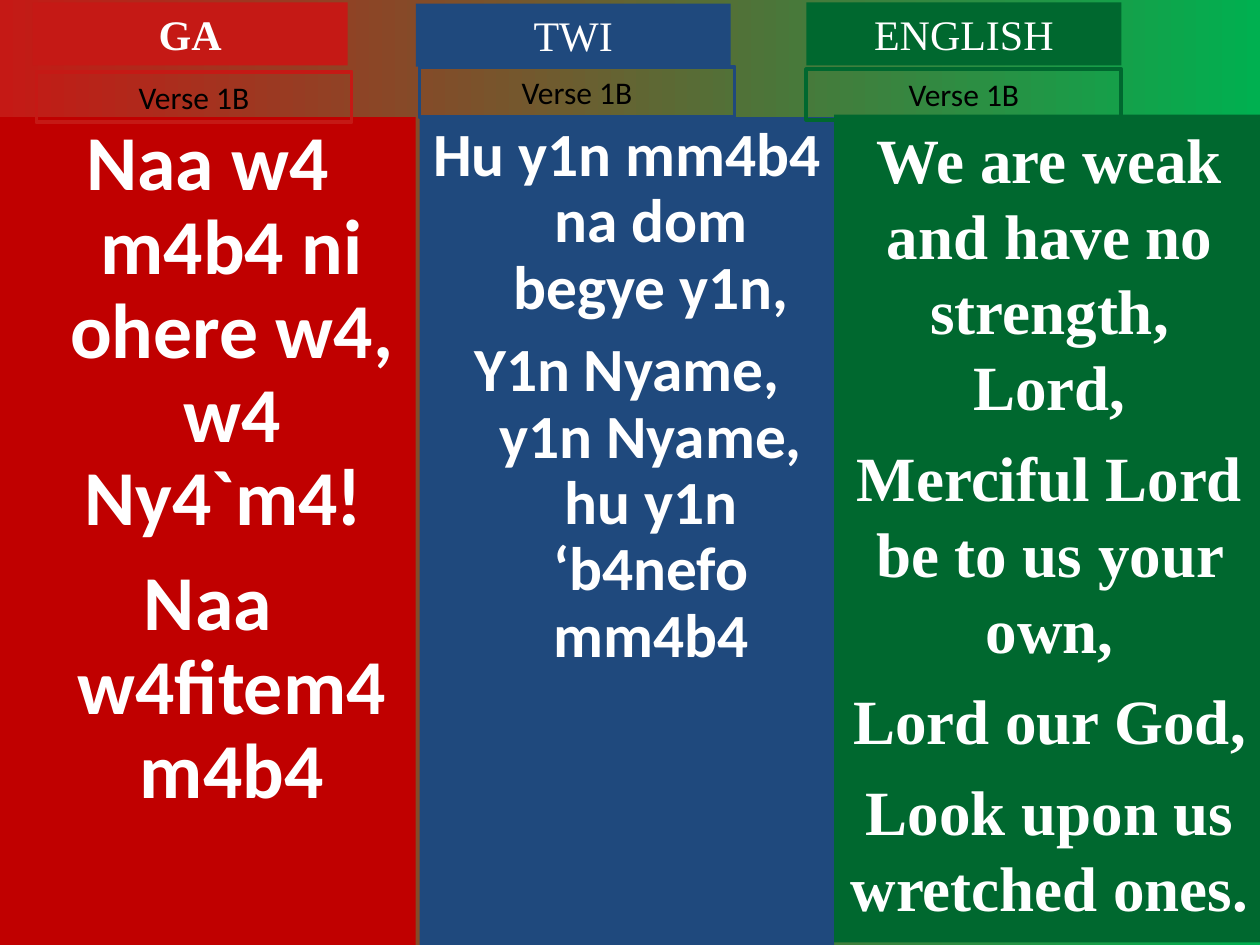
from dataclasses import dataclass
from typing import Optional

from pptx import Presentation
from pptx.dml.color import RGBColor
from pptx.enum.shapes import MSO_SHAPE
from pptx.enum.text import MSO_ANCHOR, MSO_AUTO_SIZE, PP_ALIGN
from pptx.util import Inches, Pt

RECT = MSO_SHAPE.RECTANGLE
TOP = MSO_ANCHOR.TOP
GROW = MSO_AUTO_SIZE.SHAPE_TO_FIT_TEXT
CENTER = PP_ALIGN.CENTER


@dataclass(frozen=True)
class Theme:
    red: str = "C51915"
    deep_red: str = "C00000"
    blue: str = "1F497D"
    green: str = "00682F"
    bright_green: str = "00B050"
    white: str = "FFFFFF"
    black: str = "000000"
    sans: str = "Calibri"
    serif: str = "Times New Roman"
    accent: str = "Lato"
    header_size: float = 24
    verse_size: float = 18
    ga_size: float = 44.4
    twi_size: float = 35.1
    english_size: float = 36


THEME = Theme()


@dataclass(frozen=True)
class Box:
    left: float
    top: float
    width: float
    height: float


@dataclass(frozen=True)
class Style:
    font: str
    size: float
    color: str = THEME.white
    bold: bool = False
    spacing: Optional[float] = None
    before: float = 0
    hanging: float = 0


@dataclass(frozen=True)
class Column:
    title: str
    title_box: Box
    title_bold: bool
    color: str
    verse_box: Box
    body_box: Box
    body_color: str
    body_style: Style
    lines: tuple[tuple[str, ...], ...]


COLUMNS = (
    Column("GA", Box(0.26, 0.02, 2.5, 0.5), True, THEME.red,
           Box(0.29, 0.57, 2.5, 0.4),
           Box(0, 0.93, 3.3, 6.57), THEME.deep_red,
           Style(THEME.sans, THEME.ga_size, bold=True, spacing=0.9, before=12, hanging=0.38),
           (("Naa w4 m4b4 ni ohere w4, w4 Ny4`m4", "! "), ("Naa w4fitem4 m4b4",))),
    Column("TWI", Box(3.3, 0.03, 2.5, 0.5), False, THEME.blue,
           Box(3.33, 0.53, 2.5, 0.4),
           Box(3.33, 0.93, 3.29, 6.57), THEME.blue,
           Style(THEME.sans, THEME.twi_size, bold=True, spacing=0.9, before=9.5, hanging=0.38),
           (("Hu y1n mm4b4 na dom begye y1n,",),
            ("Y1n Nyame, y1n Nyame, hu y1n ‘b4nefo mm4b4",))),
    Column("ENGLISH", Box(6.4, 0.02, 2.5, 0.5), False, THEME.green,
           Box(6.4, 0.55, 2.5, 0.4),
           Box(6.62, 0.91, 3.42, 6.57), THEME.green,
           Style(THEME.serif, THEME.english_size, bold=True, before=9),
           (("We are weak and have no strength, Lord,",),
            ("Merciful Lord be to us your own,",),
            ("Lord our God,",),
            ("Look upon us wretched ones.",))),
)


def rgb(color: str) -> RGBColor:
    return RGBColor.from_string(color)


def add_box(slide, box: Box, fill: Optional[str] = None, line: Optional[str] = None):
    sp = slide.shapes.add_shape(RECT, Inches(box.left), Inches(box.top),
                                Inches(box.width), Inches(box.height))
    sp.shadow.inherit = False
    if fill:
        sp.fill.solid()
        sp.fill.fore_color.rgb = rgb(fill)
    else:
        sp.fill.background()
    if line:
        sp.line.color.rgb = rgb(line)
        sp.line.width = Pt(2.25)
    else:
        sp.line.fill.background()
    return sp


def write(sp, lines: tuple[tuple[str, ...], ...], style: Style, grow: bool = False) -> None:
    tf = sp.text_frame
    tf.word_wrap = True
    tf.vertical_anchor = TOP
    if grow:
        tf.auto_size = GROW
    for i, runs in enumerate(lines):
        p = tf.add_paragraph() if i else tf.paragraphs[0]
        p.alignment = CENTER
        p.space_before = Pt(style.before if i else 0)
        if style.spacing:
            p.line_spacing = style.spacing
        if style.hanging:
            pPr = p._p.get_or_add_pPr()
            pPr.set("marL", str(Inches(style.hanging)))
            pPr.set("indent", str(-Inches(style.hanging)))
        p.font.name = style.font
        p.font.size = Pt(style.size)
        p.font.bold = style.bold
        p.font.color.rgb = rgb(style.color)
        for j, text in enumerate(runs):
            r = p.add_run()
            r.text = text
            if j:
                r.font.name = THEME.accent


def add_column(slide, column: Column) -> None:
    body = add_box(slide, column.body_box, fill=column.body_color)
    write(body, column.lines, column.body_style)
    header = add_box(slide, column.title_box, fill=column.color)
    write(header, ((column.title,),),
          Style(THEME.serif, THEME.header_size, bold=column.title_bold), grow=True)
    verse = add_box(slide, column.verse_box, line=column.color)
    write(verse, (("Verse 1B",),),
          Style(THEME.sans, THEME.verse_size, THEME.black), grow=True)


def set_background(slide) -> None:
    fill = slide.background.fill
    fill.gradient()
    fill.gradient_angle = 0
    for stop, position, color in zip(fill.gradient_stops, (0, 1),
                                     (THEME.red, THEME.bright_green)):
        stop.position = position
        stop.color.rgb = rgb(color)


def main() -> None:
    prs = Presentation()
    prs.slide_width, prs.slide_height = Inches(10), Inches(7.5)
    slide = prs.slides.add_slide(prs.slide_layouts[6])
    set_background(slide)
    for column in COLUMNS:
        add_column(slide, column)
    prs.save("out.pptx")


if __name__ == "__main__":
    main()
